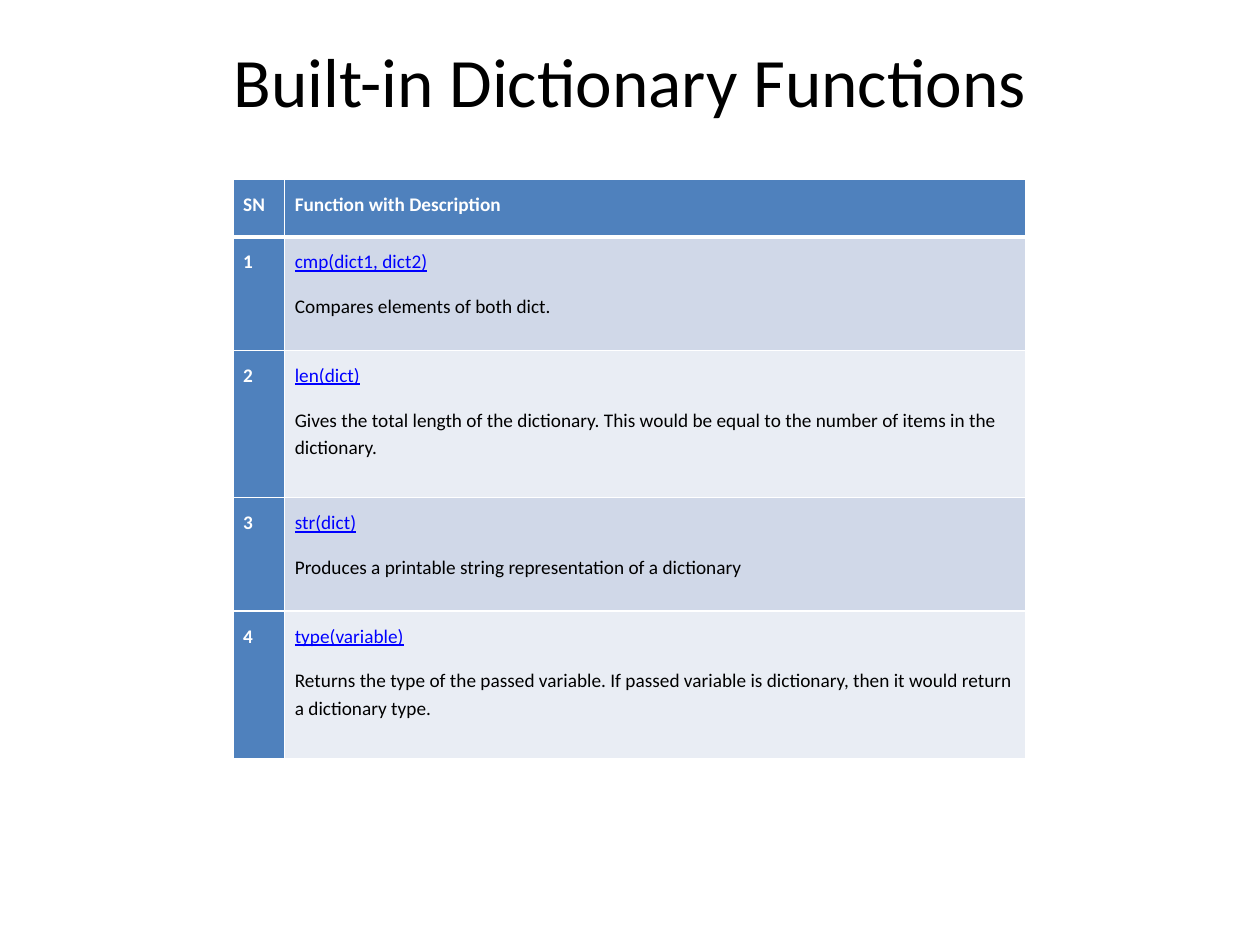
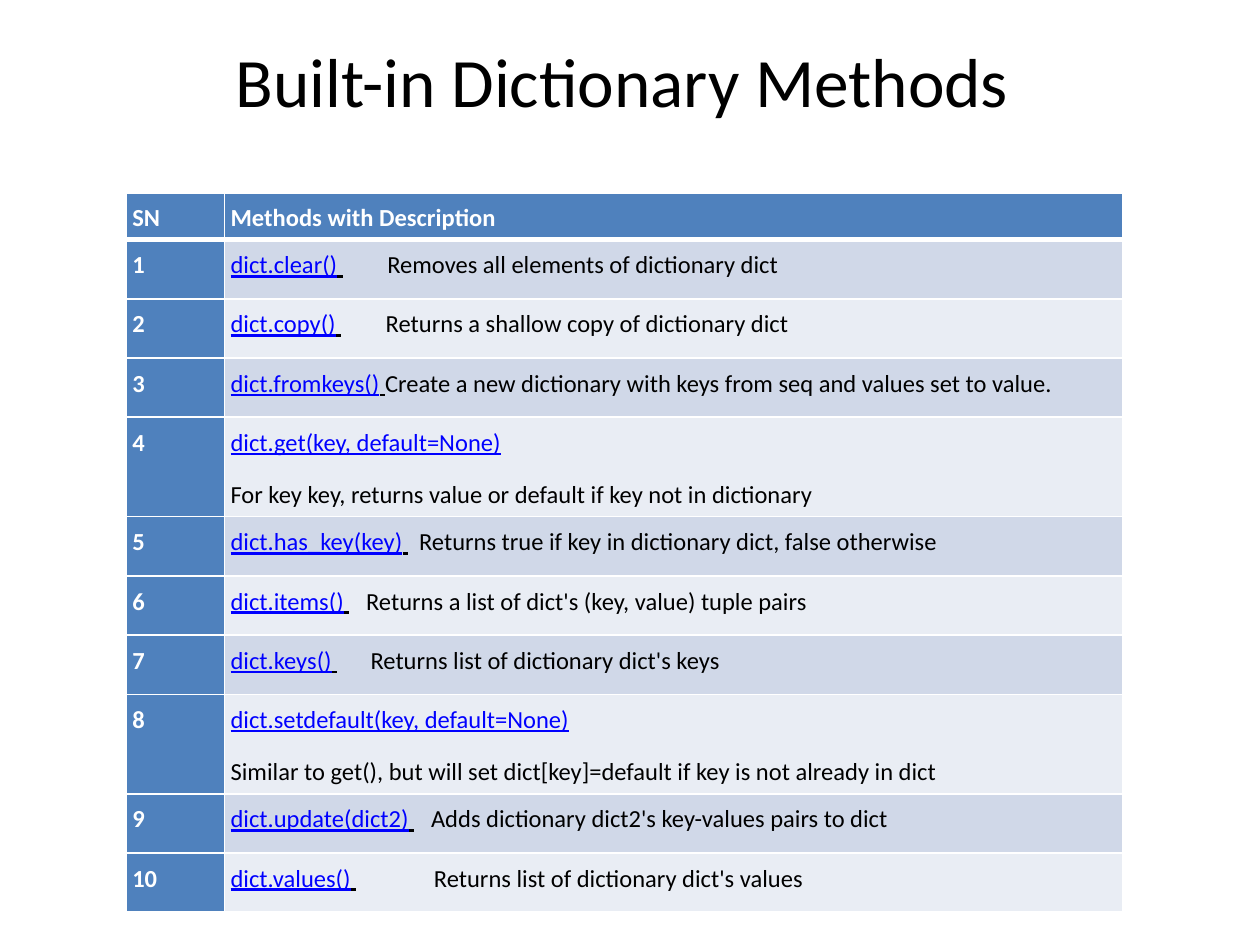
from dataclasses import dataclass
from lxml.etree import SubElement
from pptx import Presentation
from pptx.dml.color import RGBColor
from pptx.enum.text import MSO_ANCHOR, MSO_AUTO_SIZE, PP_ALIGN
from pptx.oxml.ns import qn
from pptx.util import Inches, Pt


@dataclass(frozen=True)
class Theme:
    font: str = "Calibri"
    ink: RGBColor = RGBColor(0, 0, 0)
    paper: RGBColor = RGBColor(255, 255, 255)
    accent: RGBColor = RGBColor.from_string("4F81BD")
    bands: tuple = (RGBColor.from_string("D0D8E8"), RGBColor.from_string("E9EDF4"))
    link: RGBColor = RGBColor(0, 0, 255)
    title_size: float = 39.6
    functions_size: float = 11
    methods_size: float = 14
    thin: float = 1
    thick: float = 3


theme = Theme()


def style_cell(cell, fill, inset, top, bottom):
    cell.margin_left = cell.margin_right = Inches(inset)
    cell.margin_top = cell.margin_bottom = Inches(inset)
    properties = cell._tc.get_or_add_tcPr()
    for side, width in (("L", theme.thin), ("R", theme.thin), ("T", top), ("B", bottom)):
        edge = SubElement(properties, qn(f"a:ln{side}"), w=str(Pt(width)))
        edge_fill = SubElement(edge, qn("a:solidFill"))
        SubElement(edge_fill, qn("a:srgbClr"), val=str(theme.paper))
    cell.fill.solid()
    cell.fill.fore_color.rgb = fill


def write_paragraph(paragraph, text, size, color, bold=False, underline=False):
    paragraph.line_spacing = 1.15
    paragraph.space_after = Pt(10)
    paragraph.font.name = theme.font
    paragraph.font.size = Pt(size)
    paragraph.font.bold = bold
    paragraph.font.underline = underline
    paragraph.font.color.rgb = color
    run = paragraph.add_run()
    run.text = text
    return run


functions = [
    ("cmp(dict1, dict2)", None, "Compares elements of both dict.", 0.9),
    ("len(dict)", None, "Gives the total length of the dictionary. This would be equal to "
     "the number of items in the dictionary.", 1.17),
    ("str(dict)", None, "Produces a printable string representation of a dictionary", 0.9),
    ("type(variable)", None, "Returns the type of the passed variable. If passed variable is "
     "dictionary, then it would return a dictionary type.", 1.17),
]

methods = [
    ("dict.clear()", 25.3, "Removes all elements of dictionary dict", 0.47),
    ("dict.copy()", 25.3, "Returns a shallow copy of dictionary dict", 0.47),
    ("dict.fromkeys()", 0, "Create a new dictionary with keys from seq and values set to value.", 0.47),
    ("dict.get(key, default=None)", None,
     "For key key, returns value or default if key not in dictionary", 0.79),
    ("dict.has_key(key)", 6.3, "Returns true if key in dictionary dict, false otherwise", 0.47),
    ("dict.items()", 9.5, "Returns a list of dict's (key, value) tuple pairs", 0.47),
    ("dict.keys()", 19, "Returns list of dictionary dict's keys", 0.47),
    ("dict.setdefault(key, default=None)", None,
     "Similar to get(), but will set dict[key]=default if key is not already in dict", 0.79),
    ("dict.update(dict2)", 9.5, "Adds dictionary dict2's key-values pairs to dict", 0.47),
    ("dict.values()", 44.3, "Returns list of dictionary dict's values", 0.47),
]

pages = [
    ("Built-in Dictionary Functions", "Function with Description", functions,
     1.85, 1.42, (0.41, 5.88), 0.46, 0.08, theme.functions_size),
    ("Built-in Dictionary Methods ", "Methods with Description", methods,
     1, 1.53, (0.78, 7.13), 0.37, 0.05, theme.methods_size),
]

deck = Presentation()
deck.slide_width = Inches(10)
deck.slide_height = Inches(7.5)

for heading, description_label, entries, left, top, widths, header_height, inset, size in pages:
    slide = deck.slides.add_slide(deck.slide_layouts[5])
    title = slide.shapes.title
    title.left, title.top = Inches(0.5), Inches(0.3)
    title.width, title.height = Inches(9), Inches(1.25)
    title.text_frame.text = heading
    title.text_frame.auto_size = MSO_AUTO_SIZE.NONE
    title.text_frame.vertical_anchor = MSO_ANCHOR.TOP
    title.text_frame.margin_top = 0
    title_line = title.text_frame.paragraphs[0]
    title_line.alignment = PP_ALIGN.CENTER
    title_line.font.name = theme.font
    title_line.font.size = Pt(theme.title_size)
    title_line.font.color.rgb = theme.ink

    heights = [header_height] + [entry[3] for entry in entries]
    table = slide.shapes.add_table(
        len(heights), 2, Inches(left), Inches(top),
        Inches(sum(widths)), Inches(sum(heights))).table
    table.first_col = True
    for column, width in zip(table.columns, widths):
        column.width = Inches(width)
    for row, height in zip(table.rows, heights):
        row.height = Inches(height)

    for cell, label in zip(table.rows[0].cells, ("SN", description_label)):
        style_cell(cell, theme.accent, inset, theme.thin, theme.thick)
        write_paragraph(cell.text_frame.paragraphs[0], label, size, theme.paper, bold=True)

    for number, (signature, gap, description, _) in enumerate(entries, 1):
        serial, detail = table.rows[number].cells
        upper_edge = theme.thick if number == 1 else theme.thin
        style_cell(serial, theme.accent, inset, upper_edge, theme.thin)
        style_cell(detail, theme.bands[(number - 1) % 2], inset, upper_edge, theme.thin)
        write_paragraph(serial.text_frame.paragraphs[0], str(number), size, theme.paper, bold=True)

        first_line = detail.text_frame.paragraphs[0]
        if gap is None:
            write_paragraph(first_line, signature, size, theme.link, underline=True)
            write_paragraph(detail.text_frame.add_paragraph(), description, size, theme.ink)
        else:
            call = write_paragraph(first_line, signature, size, theme.ink)
            call.font.color.rgb = theme.link
            call.font.underline = True
            spacer = first_line.add_run()
            spacer.text = " "
            spacer.font.underline = True
            spacer.font._element.set("spc", str(round(gap * 100)))
            first_line.add_run().text = description

deck.save("out.pptx")
